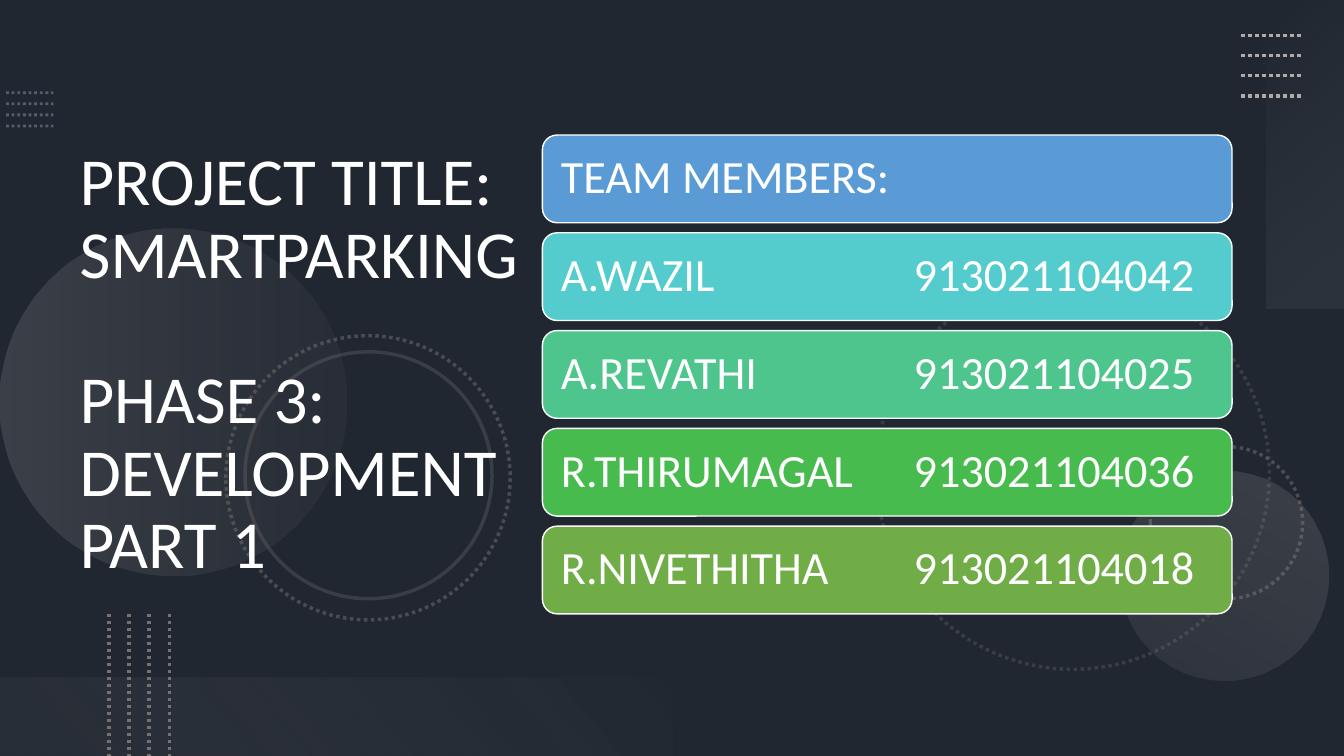
from pptx import Presentation
from pptx.dml.color import RGBColor
from pptx.enum.dml import MSO_LINE
from pptx.enum.shapes import MSO_CONNECTOR, MSO_SHAPE
from pptx.enum.text import MSO_ANCHOR
from pptx.oxml.ns import qn
from pptx.util import Inches, Pt
from lxml.etree import SubElement


def rgb(value):
    return RGBColor.from_string(value)


def set_alpha(parent, *percents):
    for clr, percent in zip(parent.iter(qn("a:srgbClr")), percents):
        SubElement(clr, qn("a:alpha")).set("val", str(percent * 1000))


def set_attrs(target, values):
    for name, value in values.items():
        setattr(target, name, value)


class SlideBuilder:
    font = {"name": "Calibri"}
    white = "FFFFFF"

    def __init__(self, s):
        self.s = s

    def background(self, color):
        fill = self.s.background.fill
        fill.solid()
        fill.fore_color.rgb = rgb(color)

    def stroke(self, line, color, width, dotted=False, alpha=100):
        line.color.rgb = rgb(color)
        line.width = Pt(width)
        if dotted:
            line.dash_style = MSO_LINE.ROUND_DOT
        if alpha < 100:
            set_alpha(line._get_or_add_ln(), alpha)

    def line(self, start, end, color, width, alpha=100):
        points = [Inches(v) for v in (*start, *end)]
        cxn = self.s.shapes.add_connector(MSO_CONNECTOR.STRAIGHT, *points)
        self.stroke(cxn.line, color, width, True, alpha)
        SubElement(cxn._element.spPr, qn("a:effectLst"))

    def shape(self, kind, box, fill=None, alpha=100, rotation=0):
        sp = self.s.shapes.add_shape(kind, *[Inches(v) for v in box])
        sp.shadow.inherit = False
        sp.rotation = rotation
        sp.line.fill.background()
        if fill is None:
            sp.fill.background()
        else:
            sp.fill.solid()
            sp.fill.fore_color.rgb = rgb(fill)
            if alpha < 100:
                set_alpha(sp._element.spPr, alpha)
        return sp

    def gradient(self, kind, box, stops, angle, rotation):
        sp = self.shape(kind, box, rotation=rotation)
        sp.fill.gradient()
        sp.fill.gradient_angle = 360 - angle
        for stop, (position, color, _) in zip(sp.fill.gradient_stops, stops):
            stop.position = position
            stop.color.rgb = rgb(color)
        set_alpha(sp._element.spPr, *[alpha for _, _, alpha in stops])

    def ring(self, left, top, size, dotted, alpha):
        sp = self.shape(MSO_SHAPE.OVAL, (left, top, size, size))
        self.stroke(sp.line, "767171", 2.5, dotted, alpha)

    def text(self, tf, paragraphs, size, frame=None):
        set_attrs(tf, {"word_wrap": True, "vertical_anchor": MSO_ANCHOR.MIDDLE, **(frame or {})})
        for i, (content, spacing) in enumerate(paragraphs):
            p = tf.paragraphs[0] if i == 0 else tf.add_paragraph()
            set_attrs(p, {"line_spacing": 0.9, "space_before": Pt(spacing)})
            r = p.add_run()
            r.text = content
            set_attrs(r.font, {**self.font, "size": Pt(size)})
            r.font.color.rgb = rgb(self.white)

    def title(self, box, paragraphs):
        sp = self.s.shapes.add_textbox(*[Inches(v) for v in box])
        self.text(sp.text_frame, paragraphs, 48)

    def card(self, box, content, color):
        sp = self.shape(MSO_SHAPE.ROUNDED_RECTANGLE, box, color)
        self.stroke(sp.line, self.white, 1)
        sides = ("left", "top", "right", "bottom")
        self.text(sp.text_frame, [(content, 0)], 33,
                  {f"margin_{side}": Inches(0.14) for side in sides})
        pPr = sp.text_frame.paragraphs[0]._p.get_or_add_pPr()
        pPr.set("algn", "l")
        tab = SubElement(SubElement(pPr, qn("a:tabLst")), qn("a:tab"))
        tab.set("pos", str(Inches(3.5)))
        tab.set("algn", "l")


def main():
    prs = Presentation()
    prs.slide_width, prs.slide_height = Inches(13.33), Inches(7.5)
    b = SlideBuilder(prs.slides.add_slide(prs.slide_layouts[6]))
    b.background("44546A")
    b.shape(MSO_SHAPE.RECTANGLE, (0, 0, 13.33, 7.5), "000000", 53)

    for i in range(4):
        y = 0.92 + i * 0.11
        b.line((0.06, y), (0.53, y), "8497B0", 2, 50)

    b.ring(8.69, 2.74, 3.9, True, 30)
    b.ring(11.41, 4.43, 1.51, True, 50)
    b.gradient(MSO_SHAPE.OVAL, (0, 2.27, 3.44, 3.44),
               [(0, "AFABAB", 20), (1, "767171", 10)], 90, 270)
    b.gradient(MSO_SHAPE.OVAL, (11.1, 4.67, 2.08, 2.08),
               [(0, "AFABAB", 10), (1, "AFABAB", 20)], 90, 210)
    b.ring(2.24, 3.33, 2.82, True, 50)
    b.ring(2.43, 3.49, 2.45, False, 30)

    b.gradient(MSO_SHAPE.RECTANGLE, (11.42, 1.14, 3.06, 0.78),
               [(0, "F5F5F5", 0), (1, "AFABAB", 10)], 140, 270)
    for i in range(4):
        y = 0.35 + i * 0.2
        b.line((12.31, y), (12.91, y), "AFABAB", 2.5)

    b.gradient(MSO_SHAPE.RECTANGLE, (0, 6.72, 6.67, 0.78),
               [(0.1, "767171", 10), (1, "F1F0F0", 0)], 140, 180)
    for i in range(4):
        x = 1.08 + i * 0.2
        b.line((x, 6.09), (x, 7.5), "767171", 2.5)

    b.title((0.69, 0.54, 4.59, 6.17), [
        ("PROJECT TITLE: SMARTPARKING", 0),
        ("PHASE 3:", 52),
        ("DEVELOPMENT PART 1", 0),
    ])

    cards = [
        ("TEAM MEMBERS:", "5B9BD5"),
        ("A.WAZIL\t913021104042", "54CCCD"),
        ("A.REVATHI\t913021104025", "4DC58D"),
        ("R.THIRUMAGAL\t913021104036", "48BB4F"),
        ("R.NIVETHITHA\t913021104018", "70AD47"),
    ]
    for i, (content, color) in enumerate(cards):
        b.card((5.38, 1.34 + i * 0.97, 6.84, 0.87), content, color)

    prs.save("out.pptx")


if __name__ == "__main__":
    main()
